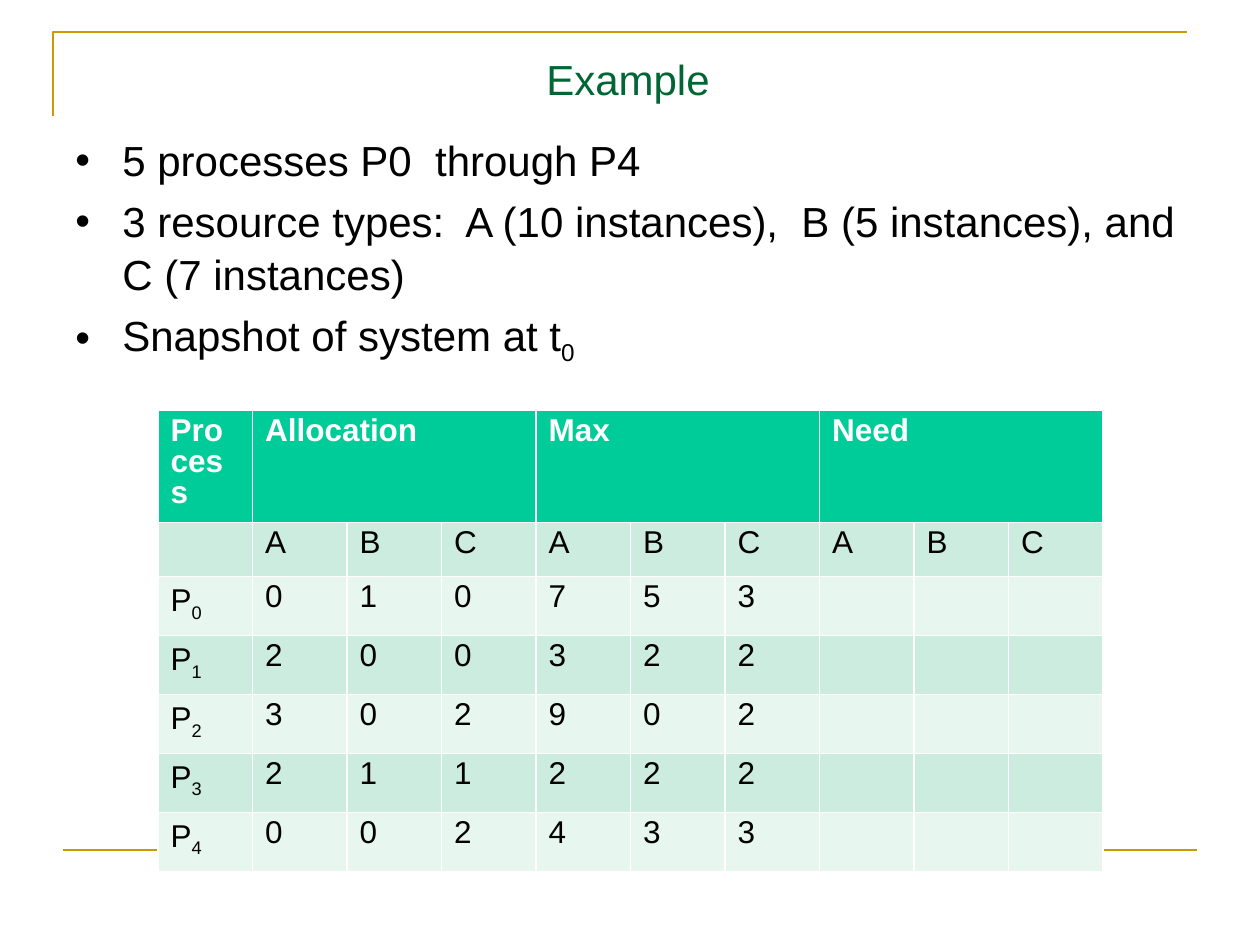
from lxml.etree import SubElement
from pptx import Presentation
from pptx.dml.color import RGBColor
from pptx.enum.shapes import MSO_CONNECTOR
from pptx.enum.text import MSO_ANCHOR, PP_ALIGN
from pptx.oxml.ns import qn
from pptx.util import Emu, Pt

SCALE = 914400 / 126
FONT = "Arial"
GOLD = RGBColor(0xCC, 0x99, 0x00)
GREEN = RGBColor(0x00, 0x66, 0x33)
TEAL = RGBColor(0x00, 0xCC, 0x99)
MINT = RGBColor(0xCB, 0xEC, 0xDE)
PALE = RGBColor(0xE7, 0xF6, 0xEF)
BLACK = RGBColor(0, 0, 0)
WHITE = RGBColor(0xFF, 0xFF, 0xFF)

POINTS = [
    ("5 processes P0  through P4", ""),
    ("3 resource types:  A (10 instances),  B (5 instances), and C (7 instances)", ""),
    ("Snapshot of system at t", "0"),
]
GROUPS = ["Allocation", "Max", "Need"]
# Allocation and Max of A, B, C for each process
USAGE = ["010753", "200322", "302902", "211222", "002433"]


def px(count):
    return Emu(round(count * SCALE))


def add_run(para, text, size, color, bold=False, sub=False):
    run = para.add_run()
    run.text = text
    font = run.font
    font.name, font.size, font.bold = FONT, Pt(size), bold
    font.color.rgb = color
    if sub:
        run._r.get_or_add_rPr().set("baseline", "-25000")


def add_box(slide, left, top, width, height):
    frame = slide.shapes.add_textbox(px(left), px(top), px(width), px(height)).text_frame
    frame.word_wrap = True
    return frame


def add_frame(slide):
    # Corner rule at the top
    pen = slide.shapes.build_freeform(53, 116, scale=SCALE)
    pen.add_line_segments([(53, 32), (1187, 32)], close=False)
    corner = pen.convert_to_shape()
    corner.shadow.inherit = False
    corner.fill.background()
    # Rule at the foot
    rule = slide.shapes.add_connector(
        MSO_CONNECTOR.STRAIGHT, px(63), px(850), px(1197), px(850))
    SubElement(rule._element.spPr, qn("a:effectLst"))
    for shape in (corner, rule):
        shape.line.color.rgb = GOLD
        shape.line.width = Pt(1.5)


def add_title(slide, text):
    frame = add_box(slide, 63, 42, 1130, 73)
    frame.vertical_anchor = MSO_ANCHOR.MIDDLE
    para = frame.paragraphs[0]
    para.alignment = PP_ALIGN.CENTER
    add_run(para, text, 24, GREEN)


def set_bullet(para):
    props = para._p.get_or_add_pPr()
    props.set("marL", str(px(47)))
    props.set("indent", str(-px(47)))
    tint = SubElement(props, qn("a:buClr"))
    SubElement(tint, qn("a:srgbClr"), val=str(BLACK))
    SubElement(props, qn("a:buFont"), typeface=FONT)
    SubElement(props, qn("a:buChar"), char="•")


def add_points(slide):
    frame = add_box(slide, 63, 126, 1130, 717)
    for i, (text, sub) in enumerate(POINTS):
        para = frame.add_paragraph() if i else frame.paragraphs[0]
        para.line_spacing = 1.05
        para.space_before = Pt(4.5 if i else 0)
        set_bullet(para)
        add_run(para, text, 24, BLACK)
        if sub:
            add_run(para, sub, 24, BLACK, sub=True)


def set_edges(cell, sides):
    props = cell._tc.get_or_add_tcPr()
    for i, side in enumerate(sides):
        edge = props.makeelement(qn(f"a:ln{side}"), {"w": str(Pt(0.75))})
        fill = SubElement(edge, qn("a:solidFill"))
        SubElement(fill, qn("a:srgbClr"), val=str(WHITE))
        props.insert(i, edge)


def set_cell(cell, text, fill, color=BLACK, bold=False, sub="", sides="LRTB"):
    cell.fill.solid()
    cell.fill.fore_color.rgb = fill
    set_edges(cell, sides)
    para = cell.text_frame.paragraphs[0]
    para.line_spacing = 0.88
    if text:
        add_run(para, text, 18, color, bold)
    if sub:
        add_run(para, sub, 18, color, bold, sub=True)


def add_grid(slide):
    heights = [103, 54] + [59] * len(USAGE)
    table = slide.shapes.add_table(
        len(heights), 10, px(158), px(410), px(945), px(sum(heights))).table
    for col in table.columns:
        col.width = px(945 / 10)
    for row, height in zip(table.rows, heights):
        row.height = px(height)
    # Header with merged groups
    set_cell(table.cell(0, 0), "Process", TEAL, WHITE, True)
    for i, name in enumerate(GROUPS):
        col = 1 + 3 * i
        head = table.cell(0, col)
        head.merge(table.cell(0, col + 2))
        set_cell(head, name, TEAL, WHITE, True, sides="TB" if i else "LTB")
    # Resource names
    for col, name in enumerate([""] + list("ABC") * 3):
        set_cell(table.cell(1, col), name, MINT)
    # One row for each process
    for i, usage in enumerate(USAGE):
        fill = MINT if i % 2 else PALE
        set_cell(table.cell(i + 2, 0), "P", fill, sub=str(i))
        for col, value in enumerate(usage.ljust(9), 1):
            set_cell(table.cell(i + 2, col), value.strip(), fill)


def main():
    deck = Presentation()
    deck.slide_width, deck.slide_height = px(1260), px(945)
    slide = deck.slides.add_slide(deck.slide_layouts[6])
    add_frame(slide)
    add_title(slide, "Example")
    add_points(slide)
    add_grid(slide)
    deck.save("out.pptx")


if __name__ == "__main__":
    main()
